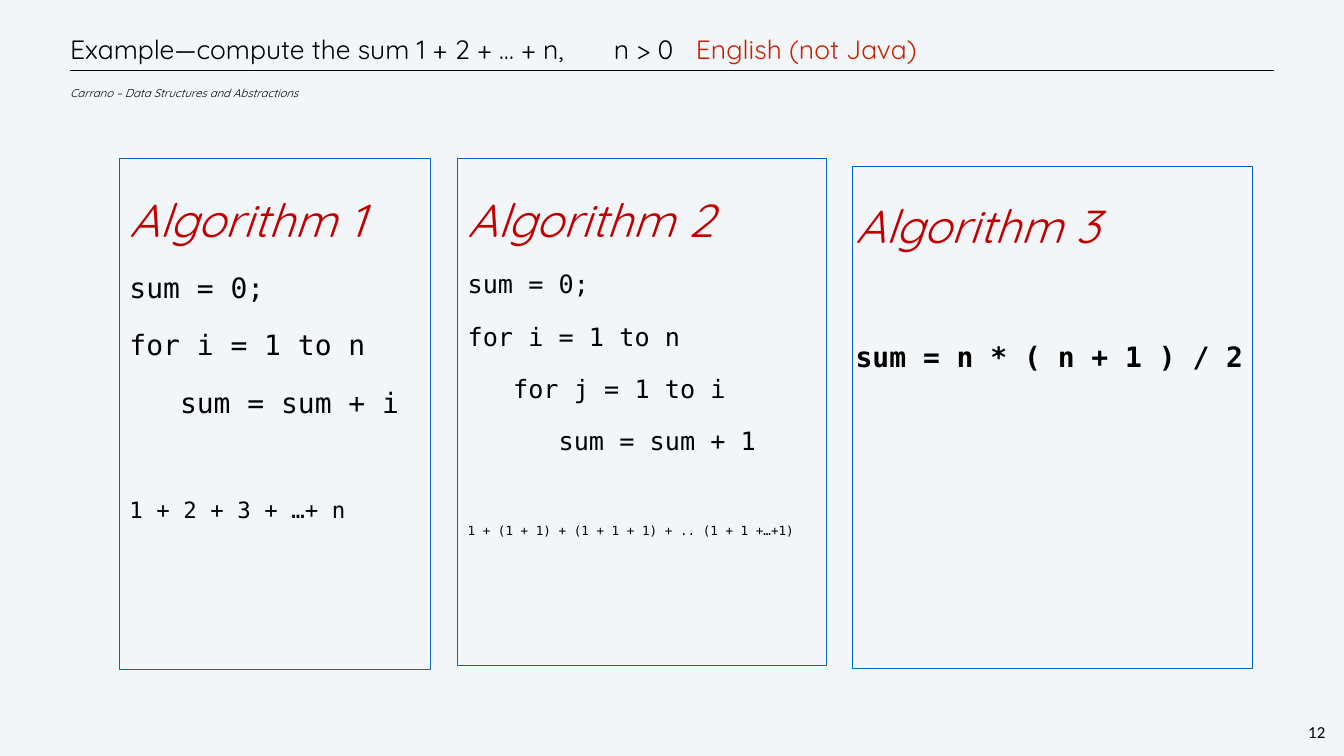
from lxml import etree
from pptx import Presentation
from pptx.dml import color
from pptx.enum import shapes, text
from pptx.oxml import ns
from pptx.util import Inches, Pt

COLORS = {"paper": "F3F6F9", "ink": "000000", "accent": "C82506",
          "heading": "C00000", "border": "0365C0"}
SANS = "Quicksand"
MONO = "DejaVu Sans Mono"


def rgb(name):
    return color.RGBColor.from_string(COLORS[name])


def style(font, size, name, ink="ink", bold=False, italic=False):
    font.size = Pt(size)
    font.name = name
    font.color.rgb = rgb(ink)
    font.bold = bold
    font.italic = italic


def set_margins(frame, side, top):
    frame.margin_left = frame.margin_right = Inches(side)
    frame.margin_top = frame.margin_bottom = Inches(top)


def add_rule(page):
    rule = page.shapes.add_connector(
        shapes.MSO_CONNECTOR.STRAIGHT,
        Inches(1.39), Inches(1.4), Inches(25.28), Inches(1.4))
    rule.line.color.rgb = rgb("ink")
    rule.line.width = Pt(1)
    etree.SubElement(rule._element.spPr, ns.qn("a:effectLst"))


def add_title(page):
    title = page.shapes.title
    title.left, title.top = Inches(1.33), Inches(0.61)
    title.width, title.height = Inches(24), Inches(1.36)
    frame = title.text_frame
    frame.auto_size = text.MSO_AUTO_SIZE.NONE
    frame.word_wrap = True
    frame.vertical_anchor = text.MSO_ANCHOR.MIDDLE
    set_margins(frame, 0.06, 0.06)
    para = frame.paragraphs[0]
    tabs = etree.SubElement(para._p.get_or_add_pPr(), ns.qn("a:tabLst"))
    for stop in (10.79, 12.42):
        etree.SubElement(tabs, ns.qn("a:tab"), pos=str(Inches(stop)), algn="l")
    para.alignment = text.PP_ALIGN.LEFT
    para.line_spacing = Pt(50)
    for words, ink in (("Example—compute the sum 1 + 2 + … + n,\tn > 0\t", "ink"),
                       ("English (not Java)", "accent")):
        span = para.add_run()
        span.text = words
        style(span.font, 37.8, SANS, ink)
    para.add_line_break()
    span = para.add_run()
    span.text = "Carrano – Data Structures and Abstractions"
    style(span.font, 16.2, SANS, italic=True)


def add_panel(page, place, margins, border, heading, lines, bold=False):
    panel = page.shapes.add_shape(
        shapes.MSO_SHAPE.RECTANGLE, *(Inches(length) for length in place))
    panel.shadow.inherit = False
    panel.fill.background()
    panel.line.color.rgb = rgb("border")
    panel.line.width = Pt(border)
    frame = panel.text_frame
    frame.word_wrap = True
    frame.vertical_anchor = text.MSO_ANCHOR.TOP
    set_margins(frame, *margins)
    para = frame.paragraphs[0]
    para.text = heading
    para.alignment = text.PP_ALIGN.LEFT
    para.line_spacing = 1.5
    style(para.font, 66, SANS, "heading", italic=True)
    for words, size, gap in lines:
        para = frame.add_paragraph()
        para.text = words
        para.alignment = text.PP_ALIGN.LEFT
        para.line_spacing = 1.5
        para.space_before = Pt(gap)
        style(para.font, size, MONO, bold=bold)


def add_page_number(page):
    box = page.shapes.add_textbox(
        Inches(25.83), Inches(14.29), Inches(0.6), Inches(0.48))
    frame = box.text_frame
    frame.word_wrap = True
    frame.auto_size = text.MSO_AUTO_SIZE.NONE
    set_margins(frame, 0.04, 0.04)
    para = frame.paragraphs[0]
    para.text = "12"
    para.alignment = text.PP_ALIGN.CENTER
    para.line_spacing = Pt(28)
    style(para.font, 24, "Calibri")


def main():
    deck = Presentation()
    deck.slide_width, deck.slide_height = Inches(26.67), Inches(15)
    page = deck.slides.add_slide(deck.slide_layouts[5])
    page.background.fill.solid()
    page.background.fill.fore_color.rgb = rgb("paper")
    add_rule(page)
    add_title(page)
    add_panel(page, (2.37, 3.14, 6.17, 10.13), (0.2, 0.1), 0.75, "Algorithm 1", [
        ("sum = 0;", 40, 10),
        ("for i = 1 to n", 40, 10),
        ("   sum = sum + i", 40, 10),
        ("1 + 2 + 3 + …+ n", 32, 92)])
    add_panel(page, (9.08, 3.14, 7.31, 10.07), (0.2, 0.1), 0.75, "Algorithm 2", [
        ("sum = 0;", 36, 10),
        ("for i = 1 to n", 36, 10),
        ("   for j = 1 to i", 36, 10),
        ("      sum = sum + 1", 36, 10),
        ("1 + (1 + 1) + (1 + 1 + 1) + .. (1 + 1 +…+1)", 18, 85)])
    add_panel(page, (16.92, 3.3, 7.93, 9.97), (0.06, 0.06), 1, "Algorithm 3", [
        ("sum = n * ( n + 1 ) / 2", 40, 101)], bold=True)
    add_page_number(page)
    deck.save("out.pptx")


if __name__ == "__main__":
    main()
